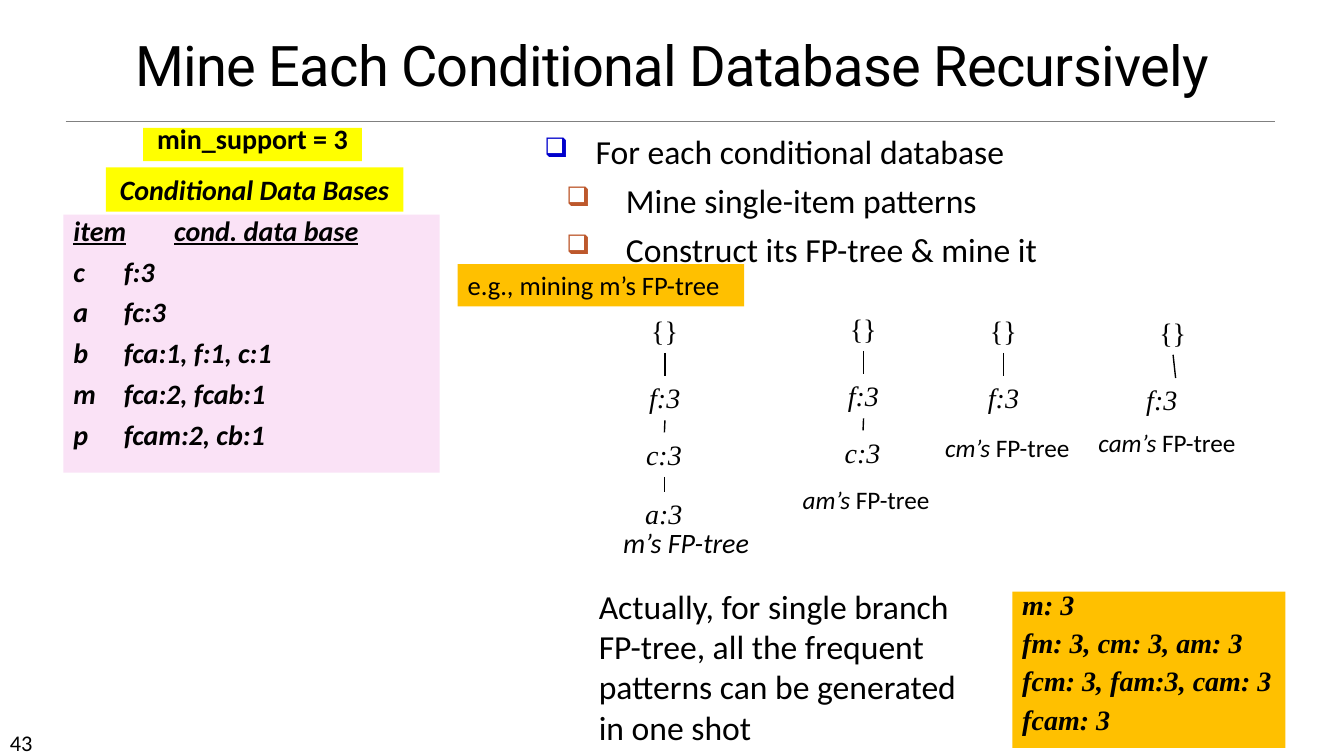
from dataclasses import dataclass

from lxml.etree import SubElement
from pptx import Presentation
from pptx.dml.color import RGBColor
from pptx.enum.shapes import MSO_CONNECTOR, MSO_SHAPE
from pptx.enum.text import MSO_ANCHOR, MSO_AUTO_SIZE, PP_ALIGN
from pptx.oxml.ns import qn
from pptx.util import Emu, Pt

PX = 9144


@dataclass(frozen=True)
class Theme:
    sans: str = "Calibri"
    serif: str = "Times New Roman"
    heading: str = "Roboto"
    ink: str = "000000"
    rule: str = "808080"
    yellow: str = "FFFF00"
    pink: str = "FAE2F6"
    orange: str = "FFC000"
    bullet: str = "0000CC"
    sub_bullet: str = "BD582C"
    title: int = 40
    body: int = 24
    main: int = 20
    example: int = 19
    caption: int = 18
    number: int = 16


T = Theme()


@dataclass(frozen=True)
class Run:
    text: str
    size: int = T.main
    font: str = T.sans
    bold: bool = False
    italic: bool = False
    underline: bool = False


@dataclass(frozen=True)
class Bullet:
    color: str
    margin: int
    hanging: int


@dataclass(frozen=True)
class Para:
    runs: tuple[Run, ...]
    align: PP_ALIGN = PP_ALIGN.LEFT
    line: float = 1.0
    before: float = 0
    bullet: Bullet | None = None
    tabs: tuple[int, ...] = ()


@dataclass(frozen=True)
class Box:
    left: int
    top: int
    width: int
    height: int
    paras: tuple[Para, ...]
    fill: str | None = None
    wrap: bool = True


@dataclass(frozen=True)
class Tree:
    center: int
    top: int
    labels: tuple[str, ...]
    branch_shift: int = 0
    branch_width: int = 0


NODE_HEIGHT = 44
NODE_WIDTHS = {"{}": 47, "f:3": 51, "c:3": 56, "a:3": 58}
NODE_OFFSETS = (0, 67, 123, 182)
TREES = (
    Tree(659, 306, ("{}", "f:3", "c:3", "a:3")),
    Tree(856, 304, ("{}", "f:3", "c:3")),
    Tree(995, 306, ("{}", "f:3")),
    Tree(1163, 308, ("{}", "f:3"), 3, 78),
)
COND_ROWS = ("item\tcond. data base", "c\tf:3", "a\tfc:3", "b\tfca:1, f:1, c:1",
             "m\tfca:2, fcab:1", "p\tfcam:2, cb:1")
PATTERNS = ("m: 3", "fm: 3, cm: 3, am: 3", "fcm: 3, fam:3, cam: 3", "fcam: 3")
STEPS = (
    ("For each conditional database", Bullet(T.bullet, 51, 51)),
    ("Mine single-item patterns", Bullet(T.sub_bullet, 81, 59)),
    ("Construct its FP-tree & mine it", Bullet(T.sub_bullet, 81, 59)),
)


def centered(*runs: Run, line: float = 1.0) -> tuple[Para, ...]:
    return (Para(runs, PP_ALIGN.CENTER, line),)


def caption(name: str) -> tuple[Para, ...]:
    return centered(Run(f"{name}’s ", T.caption, italic=True), Run("FP-tree", T.caption))


BOXES = (
    Box(0, 718, 117, 30, (Para((Run("43", T.number),)),)),
    Box(530, 125, 756, 147, tuple(
        Para((Run(text, T.body),), before=6 if i else 0, bullet=bullet)
        for i, (text, bullet) in enumerate(STEPS))),
    Box(63, 213, 373, 256, tuple(
        Para((Run(row, bold=True, italic=True, underline=i == 0),),
             line=0.8, before=10 if i else 0, tabs=(50, 100))
        for i, row in enumerate(COND_ROWS)), T.pink),
    Box(105, 166, 295, 44,
        centered(Run("Conditional Data Bases", bold=True, italic=True)), T.yellow),
    Box(784, 476, 150, 40, caption("am"), wrap=False),
    Box(607, 516, 147, 44, centered(Run("m’s FP-tree", italic=True)), wrap=False),
    Box(915, 424, 168, 40, caption("cm")),
    Box(1071, 419, 173, 40, caption("cam")),
    Box(1004, 587, 271, 155, tuple(
        Para((Run(row, font=T.serif, bold=True, italic=True),),
             line=0.7, before=10.5 if i else 0)
        for i, row in enumerate(PATTERNS)), T.orange),
    Box(584, 576, 385, 95, (Para((Run(
        "Actually, for single branch FP-tree, all the frequent patterns "
        "can be generated in one shot", T.body),)),)),
    Box(142, 127, 217, 33, centered(Run("min_support = 3", bold=True), line=0.6), T.yellow),
    Box(454, 262, 284, 42, (Para((Run("e.g., mining m’s FP-tree", T.example),)),), T.orange),
)


def write_para(p, para: Para) -> None:
    p.alignment = para.align
    p.line_spacing = para.line
    p.space_before = Pt(para.before)
    pPr = p._p.get_or_add_pPr()
    if para.bullet:
        pPr.set("marL", str(para.bullet.margin * PX))
        pPr.set("indent", str(-para.bullet.hanging * PX))
        color = SubElement(pPr, qn("a:buClr"))
        SubElement(color, qn("a:srgbClr"), val=para.bullet.color)
        SubElement(pPr, qn("a:buSzPct"), val="80000")
        SubElement(pPr, qn("a:buChar"), char="❑")
    if para.tabs:
        tabs = SubElement(pPr, qn("a:tabLst"))
        for pos in para.tabs:
            SubElement(tabs, qn("a:tab"), pos=str(pos * PX), algn="l")
    for run in para.runs:
        r = p.add_run()
        r.text = run.text
        r.font.name = run.font
        r.font.size = Pt(run.size)
        r.font.bold = run.bold
        r.font.italic = run.italic
        r.font.underline = run.underline
        r.font.color.rgb = RGBColor.from_string(T.ink)


def write_text(sp, paras: tuple[Para, ...], anchor: MSO_ANCHOR, wrap: bool = True) -> None:
    tf = sp.text_frame
    tf.word_wrap = wrap
    tf.auto_size = MSO_AUTO_SIZE.NONE
    tf.vertical_anchor = anchor
    for i, para in enumerate(paras):
        write_para(tf.add_paragraph() if i else tf.paragraphs[0], para)


def add_box(s, box: Box):
    frame = [Emu(v * PX) for v in (box.left, box.top, box.width, box.height)]
    if box.fill:
        sp = s.shapes.add_shape(MSO_SHAPE.RECTANGLE, *frame)
        sp.shadow.inherit = False
        sp.fill.solid()
        sp.fill.fore_color.rgb = RGBColor.from_string(box.fill)
        sp.line.fill.background()
    else:
        sp = s.shapes.add_textbox(*frame)
    write_text(sp, box.paras, MSO_ANCHOR.TOP, box.wrap)
    return sp


def add_line(s, x1: int, y1: int, x2: int, y2: int, color: str, width: float):
    ends = [Emu(v * PX) for v in (x1, y1, x2, y2)]
    line = s.shapes.add_connector(MSO_CONNECTOR.STRAIGHT, *ends)
    line.line.color.rgb = RGBColor.from_string(color)
    line.line.width = Pt(width)
    SubElement(line._element.spPr, qn("a:effectLst"))
    return line


def add_tree(s, tree: Tree) -> None:
    parent = None
    for i, (label, offset) in enumerate(zip(tree.labels, NODE_OFFSETS)):
        width = tree.branch_width if i and tree.branch_width else NODE_WIDTHS[label]
        center = tree.center + (tree.branch_shift if i else 0)
        run = Run(label, font=T.serif, italic=i > 0)
        node = add_box(s, Box(center - width // 2, tree.top + offset, width, NODE_HEIGHT,
                              (Para((run,)),), wrap=tree.branch_width > 0))
        if parent is not None:
            branch = add_line(s, 0, 0, 0, 0, T.ink, 1)
            branch.begin_connect(parent, 2)
            branch.end_connect(node, 0)
        parent = node


def main() -> None:
    prs = Presentation()
    prs.slide_width, prs.slide_height = Emu(1333 * PX), Emu(750 * PX)
    s = prs.slides.add_slide(prs.slide_layouts[5])
    title = s.shapes.title
    title.left, title.top = Emu(0), Emu(36 * PX)
    title.width, title.height = Emu(1333 * PX), Emu(67 * PX)
    heading = Run("Mine Each Conditional Database Recursively", T.title, T.heading)
    write_text(title, centered(heading, line=0.9), MSO_ANCHOR.BOTTOM)
    title.text_frame.paragraphs[0].runs[0].font._element.set("spc", "-50")
    add_line(s, 65, 120, 1265, 120, T.rule, 0.5)
    for box in BOXES:
        add_box(s, box)
    for tree in TREES:
        add_tree(s, tree)
    prs.save("out.pptx")


if __name__ == "__main__":
    main()
